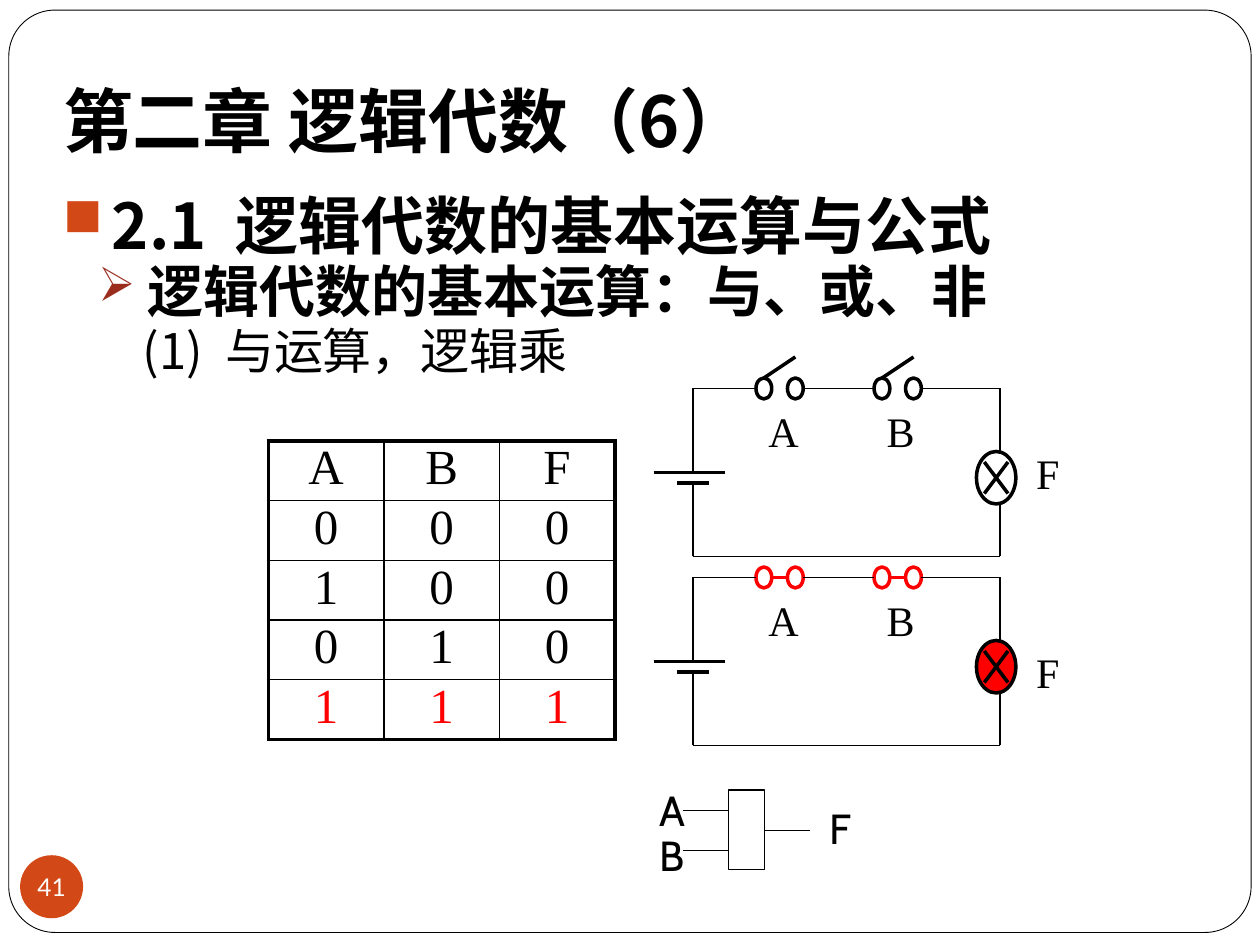
import pptx
import pptx.util
import pptx.dml.color
import pptx.enum.shapes
import pptx.enum.text
from dataclasses import dataclass
from lxml import etree
from pptx.oxml.ns import qn

Align = pptx.enum.text.PP_ALIGN
Anchor = pptx.enum.text.MSO_ANCHOR
Preset = pptx.enum.shapes.MSO_SHAPE
BLACK, WHITE, RED, ORANGE, BROWN = "000000", "FFFFFF", "FF0000", "D34817", "9B2D1F"
CJK, SERIF = "Noto Sans CJK JP", "Times New Roman"
THIN, THICK = 0.75, 2


@dataclass
class Grid:
    left: float
    top: float
    column: float
    row: float

    def point(self, x: float, y: float) -> tuple:
        return (pptx.util.Inches(self.left + x * self.column),
                pptx.util.Inches(self.top + y * self.row))

    def box(self, x: float, y: float, wide: float, high: float) -> tuple:
        return (*self.point(x, y), pptx.util.Inches(wide * self.column),
                pptx.util.Inches(high * self.row))


@dataclass
class Heading:
    text: str
    size: int
    bold: bool
    indent: float
    before: float
    bullet: str = ""
    bullet_color: str = BLACK


@dataclass
class Circuit:
    top: float
    closed: bool
    lamp_label_row: int


PERCENT = Grid(0, 0, 0.1, 0.075)  # one step is one percent of the slide


def color(value: str):
    return pptx.dml.color.RGBColor.from_string(value)


def add_xml(parent, tag: str, **attributes):
    return etree.SubElement(parent, qn(tag), attributes)


def format_para(para, size, font, ink=BLACK, bold=False, align=None):
    para.alignment = align
    for span in para.runs:
        span.font.size, span.font.bold = pptx.util.Pt(size), bold
        span.font.name, span.font.color.rgb = font, color(ink)
        add_xml(span.font._element, "a:ea", typeface=font)


def set_margins(frame, left, top, right, bottom):
    frame.margin_left, frame.margin_top, frame.margin_right, frame.margin_bottom = (
        pptx.util.Inches(side) for side in (left, top, right, bottom))


def draw_shape(canvas, preset, place, fill=None, line=None, width=THICK):
    shape = canvas.add_shape(preset, *place)
    shape.shadow.inherit = False
    for paint, value in ((shape.fill, fill), (shape.line.fill, line)):
        if value:
            paint.solid()
            paint.fore_color.rgb = color(value)
        else:
            paint.background()
    if line:
        shape.line.width = pptx.util.Pt(width)
    return shape


def draw_line(canvas, grid: Grid, start, end, width=THIN, ink=BLACK):
    line = canvas.add_connector(pptx.enum.shapes.MSO_CONNECTOR.STRAIGHT,
                                *grid.point(*start), *grid.point(*end))
    line.line.width, line.line.color.rgb = pptx.util.Pt(width), color(ink)
    add_xml(line._element.spPr, "a:effectLst")


def draw_label(canvas, place, text, font):
    box = canvas.add_textbox(*place)
    box.text_frame.word_wrap = True
    box.text_frame.text = text
    format_para(box.text_frame.paragraphs[0], 24, font)


def draw_headings(page, headings):
    frame = page.shapes.add_textbox(*PERCENT.box(4, 20.4, 91.7, 25)).text_frame
    frame.word_wrap = True
    frame.text = "\n".join(heading.text for heading in headings)
    for para, heading in zip(frame.paragraphs, headings):
        format_para(para, heading.size, CJK, bold=heading.bold)
        para.space_before = pptx.util.Pt(heading.before)
        para.line_spacing = 0.83
        props = para._p.get_or_add_pPr()
        props.set("marL", str(pptx.util.Inches(heading.indent)))
        props.set("indent", str(pptx.util.Inches(-0.39)))
        if heading.bullet:
            add_xml(add_xml(props, "a:buClr"), "a:srgbClr", val=heading.bullet_color)
            add_xml(props, "a:buSzPct", val="85000")
            add_xml(props, "a:buChar", char=heading.bullet)
        else:
            add_xml(props, "a:buNone")


def draw_truth_table(page, rows):
    last_row, last_column = len(rows) - 1, len(rows[0]) - 1
    table = page.shapes.add_table(len(rows), len(rows[0]),
                                  *PERCENT.box(21.3, 46.67, 27.5, 31.6)).table
    table.first_row = table.horz_banding = False
    for r, row in enumerate(rows):
        for c, text in enumerate(row):
            cell = table.cell(r, c)
            cell.text = text
            set_margins(cell, 0.07, 0, 0.07, 0)
            format_para(cell.text_frame.paragraphs[0], 28, SERIF,
                        RED if r == last_row else BLACK, align=Align.CENTER)
            props = cell._tc.get_or_add_tcPr()
            outer = {"L": c == 0, "R": c == last_column, "T": r == 0, "B": r == last_row}
            for side, is_outer in outer.items():
                edge = add_xml(props, "a:ln" + side,
                               w=str(pptx.util.Pt(2.25 if is_outer else 1)))
                add_xml(add_xml(edge, "a:solidFill"), "a:srgbClr", val=BLACK)
            cell.fill.background()


def draw_circuit(page, circuit: Circuit):
    grid = Grid(5.1875, circuit.top, 1 / 16, 1 / 12)
    canvas = page.shapes.add_group_shape().shapes
    # Switches with their labels
    for name, x in (("A", 13), ("B", 28)):
        ink = RED if circuit.closed else BLACK
        for contact in (x, x + 4):
            draw_shape(canvas, Preset.OVAL, grid.box(contact, 0, 2, 2), line=ink)
        lever = ((x + 2, 1), (x + 4, 1)) if circuit.closed else ((x + 1, 0), (x + 5, -2))
        draw_line(canvas, grid, *lever, THICK, ink)
        draw_label(canvas, grid.box(x, 2, 7, 6), name, SERIF)
    # Lamp
    draw_shape(canvas, Preset.OVAL, grid.box(41, 7, 5, 5),
               RED if circuit.closed else None, BLACK)
    draw_label(canvas, grid.box(47, circuit.lamp_label_row, 7, 6), "F", SERIF)
    # Lamp cross and battery plates
    for start, end in (((42, 8), (45, 11)), ((45, 8), (42, 11)),
                       ((0, 9), (9, 9)), ((3, 10), (7, 10))):
        draw_line(canvas, grid, start, end, THICK)
    # Wires
    for start, end in (((5, 1), (13, 1)), ((19, 1), (28, 1)), ((34, 1), (44, 1)),
                       ((44, 1), (44, 7)), ((44, 12), (44, 17)), ((44, 17), (5, 17)),
                       ((5, 17), (5, 10)), ((5, 1), (5, 9))):
        draw_line(canvas, grid, start, end)


def draw_gate(page):
    grid = Grid(5.42, 6.27, 0.36, 0.16)
    canvas = page.shapes.add_group_shape().shapes
    draw_shape(canvas, Preset.RECTANGLE, grid.box(1, 0, 0.8, 3.95), line=BLACK, width=THIN)
    for start, end in (((0, 1), (1, 1)), ((0, 3), (1, 3)), ((1.8, 2), (2.8, 2))):
        draw_line(canvas, grid, start, end)
    for name, x, y in (("A", -0.8, -0.6), ("B", -0.8, 1.65), ("F", 2.95, 0.3)):
        draw_label(canvas, grid.box(x, y, 0.83, 3.2), name, "Cabin")


def main():
    deck = pptx.Presentation()
    deck.slide_width, deck.slide_height = pptx.util.Inches(10), pptx.util.Inches(7.5)
    page = deck.slides.add_slide(deck.slide_layouts[5])

    # Frame and title
    border = draw_shape(page.shapes, Preset.ROUNDED_RECTANGLE,
                        PERCENT.box(0.7, 1.07, 98.6, 97.6), WHITE, BLACK, 0.5)
    border.adjustments[0] = 0.05
    title = page.shapes.title
    border._element.addnext(title._element)
    title.left, title.top, title.width, title.height = PERCENT.box(4, 4, 85, 14.4)
    title.text_frame.text = "第二章 逻辑代数（6）"
    title.text_frame.vertical_anchor = Anchor.BOTTOM
    set_margins(title.text_frame, 0.1, 0.05, 0.1, 0.1)
    format_para(title.text_frame.paragraphs[0], 40, CJK, bold=True, align=Align.LEFT)

    # Page number
    badge = draw_shape(page.shapes, Preset.OVAL, PERCENT.box(1.6, 90.5, 5, 6.67), ORANGE)
    badge.text_frame.text = "41"
    badge.text_frame.word_wrap = False
    badge.text_frame.vertical_anchor = Anchor.MIDDLE
    set_margins(badge.text_frame, 0, 0, 0, 0)
    format_para(badge.text_frame.paragraphs[0], 14, "Lato", WHITE, align=Align.CENTER)

    # Headings, truth table, circuits and gate
    draw_headings(page, [
        Heading("2.1  逻辑代数的基本运算与公式", 36, True, 0.39, 5.8, "■", ORANGE),
        Heading("逻辑代数的基本运算：与、或、非", 32, True, 0.67, 3.7, "➢", BROWN),
        Heading(" (1)  与运算，逻辑乘", 28, False, 0.94, 3.7)])
    draw_truth_table(page, ["ABF", "000", "100", "010", "111"])
    for circuit in (Circuit(3, False, 6), Circuit(4.5, True, 7)):
        draw_circuit(page, circuit)
    draw_gate(page)
    deck.save("out.pptx")


if __name__ == "__main__":
    main()
